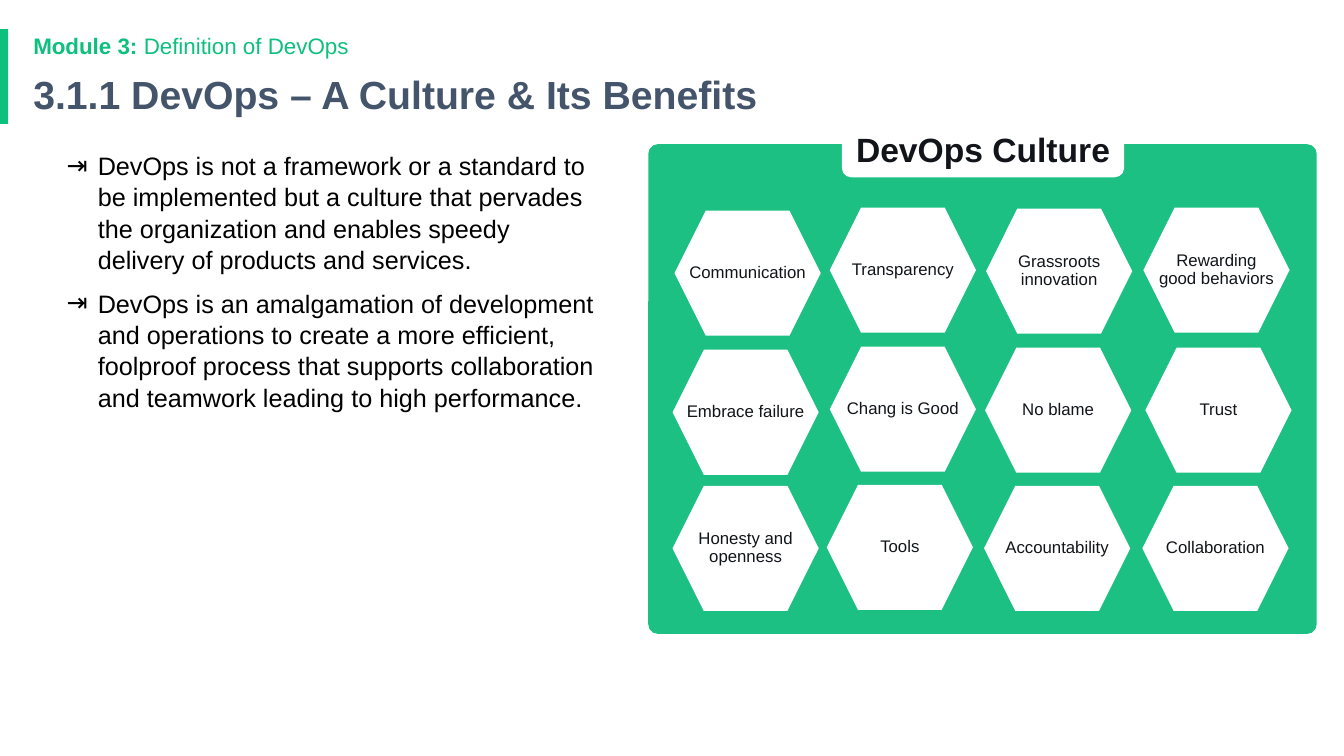
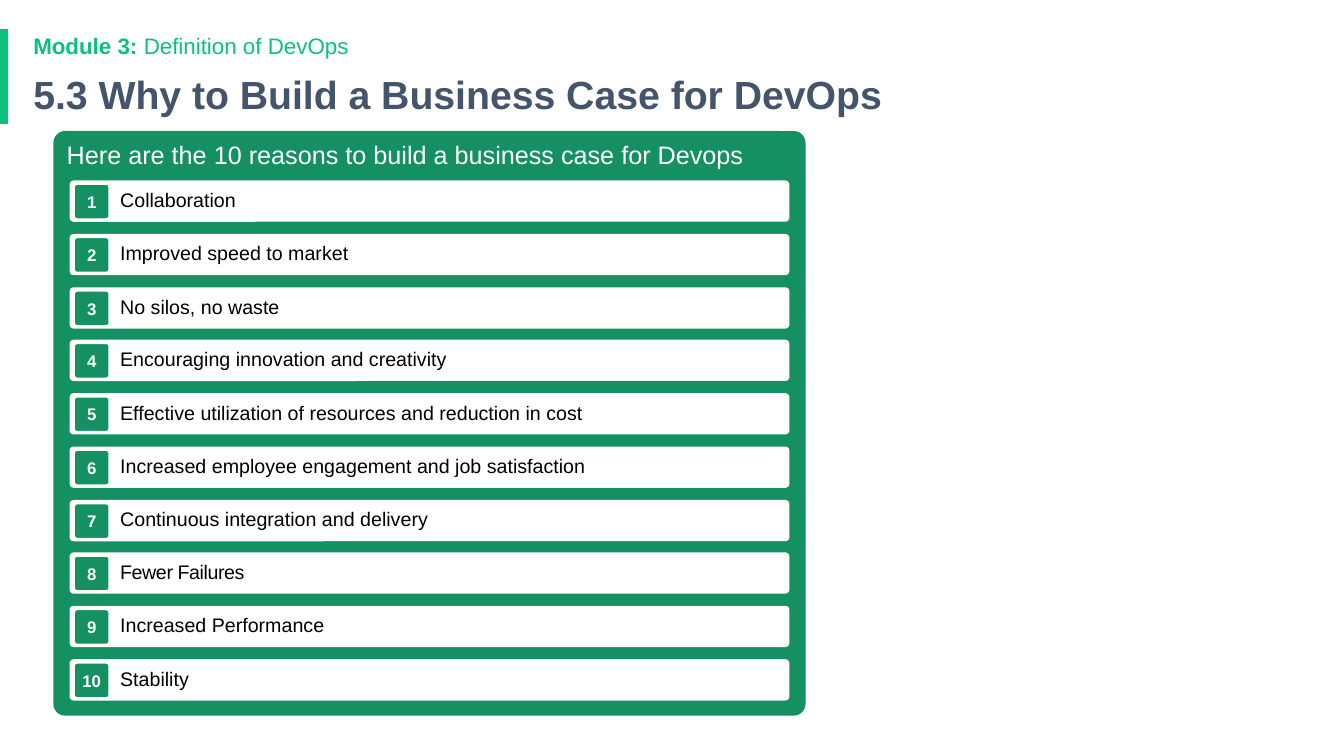
import dataclasses

import lxml.etree
import pptx
import pptx.dml.color
import pptx.enum.shapes
import pptx.enum.text
import pptx.oxml.ns
import pptx.util

PX = 9144  # EMU in one px, 100 px to the inch
SHAPE = pptx.enum.shapes.MSO_SHAPE
ALIGN = pptx.enum.text.PP_ALIGN
ANCHOR = pptx.enum.text.MSO_ANCHOR


@dataclasses.dataclass(frozen=True)
class Theme:
    font: str = "Arial"
    accent: str = "0EC07D"
    title: str = "44546A"
    culture: str = "1CC083"
    reasons: str = "149062"
    ink: str = "11151A"
    black: str = "000000"
    white: str = "FFFFFF"
    title_size: int = 28
    heading_size: int = 24
    body_size: int = 18
    module_size: int = 16
    row_size: int = 14
    label_size: int = 12


THEME = Theme()


def paint(shape, fill, margins=(10, 5, 10, 5), anchor=ANCHOR.MIDDLE):
    """Give a shape a flat fill without outline, and set up its text frame."""
    shape.shadow.inherit = False
    shape.fill.solid()
    shape.fill.fore_color.rgb = pptx.dml.color.RGBColor.from_string(fill)
    shape.line.fill.background()
    frame = shape.text_frame
    frame.word_wrap = True
    frame.vertical_anchor = anchor
    frame.margin_left, frame.margin_top, frame.margin_right, frame.margin_bottom = (
        margin * PX for margin in margins)
    return shape


def style(para, size, color, bold=False, align=ALIGN.LEFT, spacing=0.9):
    para.alignment = align
    para.line_spacing = spacing
    para.space_before = pptx.util.Pt(0)
    para.font.name = THEME.font
    para.font.size = pptx.util.Pt(size)
    para.font.bold = bold
    para.font.color.rgb = pptx.dml.color.RGBColor.from_string(color)


deck = pptx.Presentation()
deck.slide_width, deck.slide_height = 1333 * PX, 750 * PX

# Title and module line of every page
TITLE_AND_BODY, TWO_BODIES = 1, 3
pages = []
for layout, title in [
    (TWO_BODIES, "3.1.1 DevOps – A Culture & Its Benefits"),
    (TITLE_AND_BODY, "5.3 Why to Build a Business Case for DevOps"),
]:
    page = deck.slides.add_slide(deck.slide_layouts[layout])
    pages.append(page)
    heading, module = page.shapes.title, page.placeholders[1]
    for box, top, height in [(heading, 69, 54), (module, 30, 33)]:
        box.left, box.top, box.width, box.height = 23 * PX, top * PX, 1150 * PX, height * PX
        box.text_frame.auto_size = pptx.enum.text.MSO_AUTO_SIZE.NONE
        box.text_frame.vertical_anchor = ANCHOR.MIDDLE
    heading.text_frame.text = title
    style(heading.text_frame.paragraphs[0], THEME.title_size, THEME.title, bold=True)

    para = module.text_frame.paragraphs[0]
    properties = para._p.get_or_add_pPr()
    properties.set("marL", "0")
    properties.set("indent", "0")
    lxml.etree.SubElement(properties, pptx.oxml.ns.qn("a:buNone"))
    style(para, THEME.module_size, THEME.accent)
    for text, bold in [("Module 3: ", True), ("Definition of DevOps", False)]:
        span = para.add_run()
        span.text = text
        span.font.bold = bold

culture_page, reasons_page = pages

# The accent bar belongs to the master
bar = paint(culture_page.shapes.add_shape(SHAPE.RECTANGLE, 0, 29 * PX, 8 * PX, 94 * PX), THEME.accent)
bar.element.nvSpPr.cNvPr.id = 20
deck.slide_master.shapes.element.append(bar.element)

# Culture page: bullets
box = culture_page.placeholders[2]
box.left, box.top, box.width, box.height = 56 * PX, 143 * PX, 549 * PX, 529 * PX
frame = box.text_frame
frame.auto_size = pptx.enum.text.MSO_AUTO_SIZE.NONE
frame.text = (
    "DevOps is not a framework or a standard to be implemented but a culture that pervades "
    "the organization and enables speedy delivery of products and services.\n"
    "DevOps is an amalgamation of development and operations to create a more efficient, "
    "foolproof process that supports collaboration and teamwork leading to high performance."
)
for para in frame.paragraphs:
    properties = para._p.get_or_add_pPr()
    properties.set("marL", str(31 * PX))
    properties.set("indent", str(-31 * PX))
    bullet_color = lxml.etree.SubElement(properties, pptx.oxml.ns.qn("a:buClr"))
    lxml.etree.SubElement(bullet_color, pptx.oxml.ns.qn("a:srgbClr"), val=THEME.black)
    lxml.etree.SubElement(properties, pptx.oxml.ns.qn("a:buChar"), char="⇥")
    style(para, THEME.body_size, THEME.black, spacing=1.04)
frame.paragraphs[1].space_before = pptx.util.Pt(8.4)

# Culture page: panel of hexagons
panel = culture_page.shapes.add_shape(SHAPE.ROUNDED_RECTANGLE, 643 * PX, 143 * PX, 663 * PX, 486 * PX)
panel.adjustments[0] = 0.02
paint(panel, THEME.culture)

HEX_WIDTH, HEX_HEIGHT, HEX_INSET = 145, 124, 31
for text, left, top in [
    ("Communication", 669, 209),
    ("Transparency", 823, 206),
    ("Grassroots innovation", 978, 207),
    ("Rewarding\vgood behaviors", 1134, 206),
    ("Embrace failure", 667, 347),
    ("Chang is Good", 823, 344),
    ("No blame", 977, 345),
    ("Trust", 1136, 345),
    ("Honesty and openness", 667, 482),
    ("Tools", 820, 481),
    ("Accountability", 976, 482),
    ("Collaboration", 1133, 482),
]:
    right, bottom, middle = left + HEX_WIDTH, top + HEX_HEIGHT, top + HEX_HEIGHT // 2
    outline = culture_page.shapes.build_freeform(left, middle, scale=PX)
    outline.add_line_segments([
        (left + HEX_INSET, top), (right - HEX_INSET, top), (right, middle),
        (right - HEX_INSET, bottom), (left + HEX_INSET, bottom),
    ])
    hexagon = paint(outline.convert_to_shape(), THEME.white, margins=(9, 9, 9, 9))
    hexagon.text_frame.text = text
    style(hexagon.text_frame.paragraphs[0], THEME.label_size, THEME.ink, align=ALIGN.CENTER)

label = culture_page.shapes.add_shape(SHAPE.ROUNDED_RECTANGLE, 835 * PX, 120 * PX, 280 * PX, 56 * PX)
paint(label, THEME.white)
label.text_frame.word_wrap = False
label.text_frame.text = "DevOps Culture"
style(label.text_frame.paragraphs[0], THEME.heading_size, THEME.ink, bold=True,
      align=ALIGN.CENTER, spacing=1.0)

# Reasons page: panel of numbered rows
panel = reasons_page.shapes.add_shape(SHAPE.ROUNDED_RECTANGLE, 53 * PX, 130 * PX, 746 * PX, 580 * PX)
panel.adjustments[0] = 0.02
paint(panel, THEME.reasons, anchor=ANCHOR.TOP)
panel.text_frame.text = "Here are the 10 reasons to build a business case for Devops"
style(panel.text_frame.paragraphs[0], THEME.body_size, THEME.white, spacing=1.0)

ROW_TOP, LAST_ROW_TOP = 179, 654
reasons = [
    "Collaboration",
    "Improved speed to market",
    "No silos, no waste",
    "Encouraging innovation and creativity",
    "Effective utilization of resources and reduction in cost",
    "Increased employee engagement and job satisfaction",
    "Continuous integration and delivery",
    "Fewer Failures",
    "Increased Performance",
    "Stability",
]
for index, reason in enumerate(reasons):
    top = ROW_TOP + round(index * (LAST_ROW_TOP - ROW_TOP) / (len(reasons) - 1))
    row = reasons_page.shapes.add_shape(SHAPE.ROUNDED_RECTANGLE, 69 * PX, top * PX, 714 * PX, 41 * PX)
    row.adjustments[0] = 0.1
    paint(row, THEME.white, margins=(49, 5, 5, 5))
    row.text_frame.text = reason
    para = row.text_frame.paragraphs[0]
    style(para, THEME.row_size, THEME.black)
    if reason == "Fewer Failures":
        para.runs[0]._r.get_or_add_rPr().set("spc", "-30")

    badge = reasons_page.shapes.add_shape(
        SHAPE.ROUNDED_RECTANGLE, 73 * PX, (top + 3) * PX, 36 * PX, 36 * PX)
    badge.adjustments[0] = 0.1
    paint(badge, THEME.reasons, margins=(0, 0, 0, 0))
    badge.line.color.rgb = pptx.dml.color.RGBColor.from_string(THEME.white)
    badge.line.width = pptx.util.Pt(2)
    badge.text_frame.text = str(index + 1)
    style(badge.text_frame.paragraphs[0], THEME.label_size, THEME.white, bold=True,
          align=ALIGN.CENTER, spacing=1.0)

deck.save("out.pptx")
